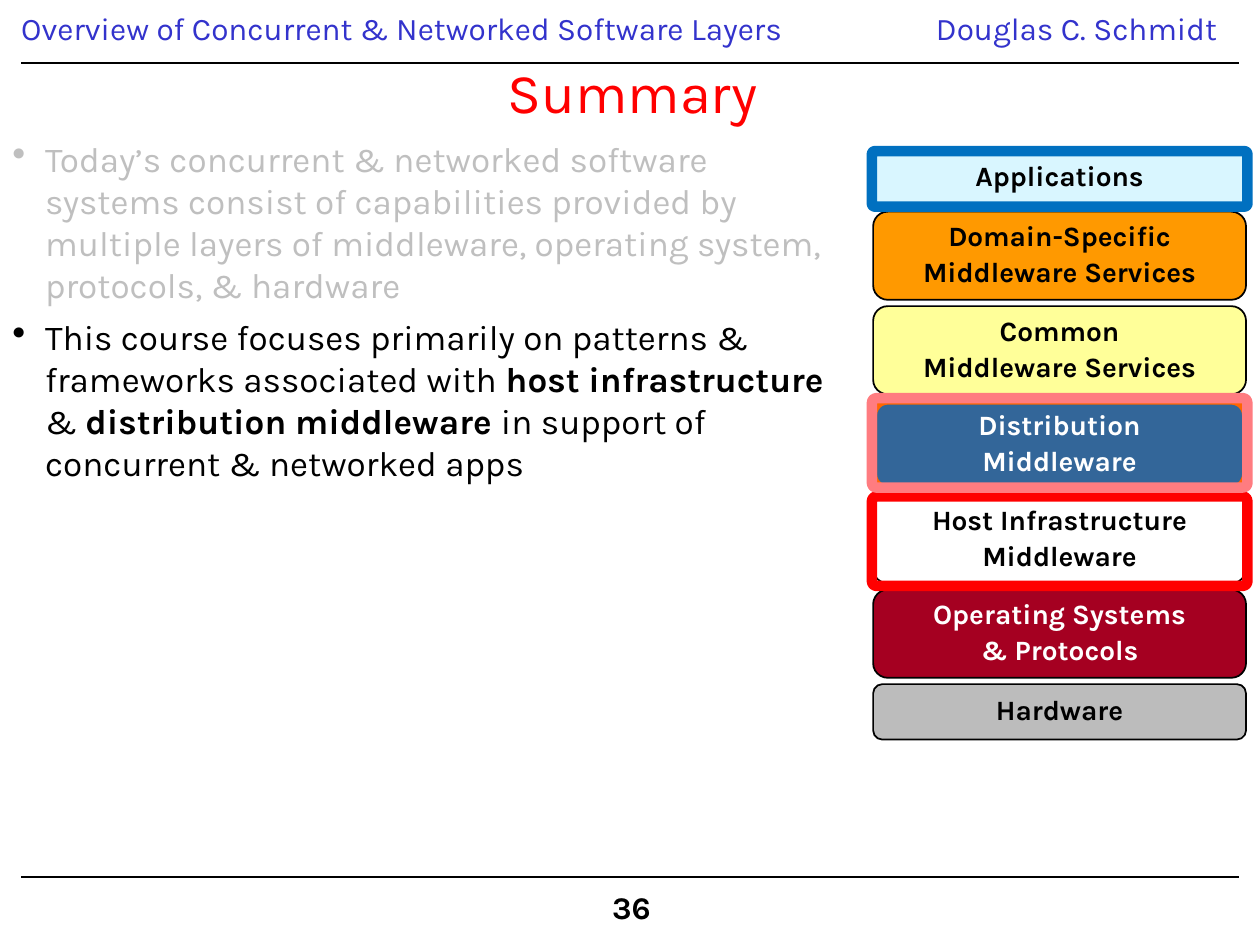
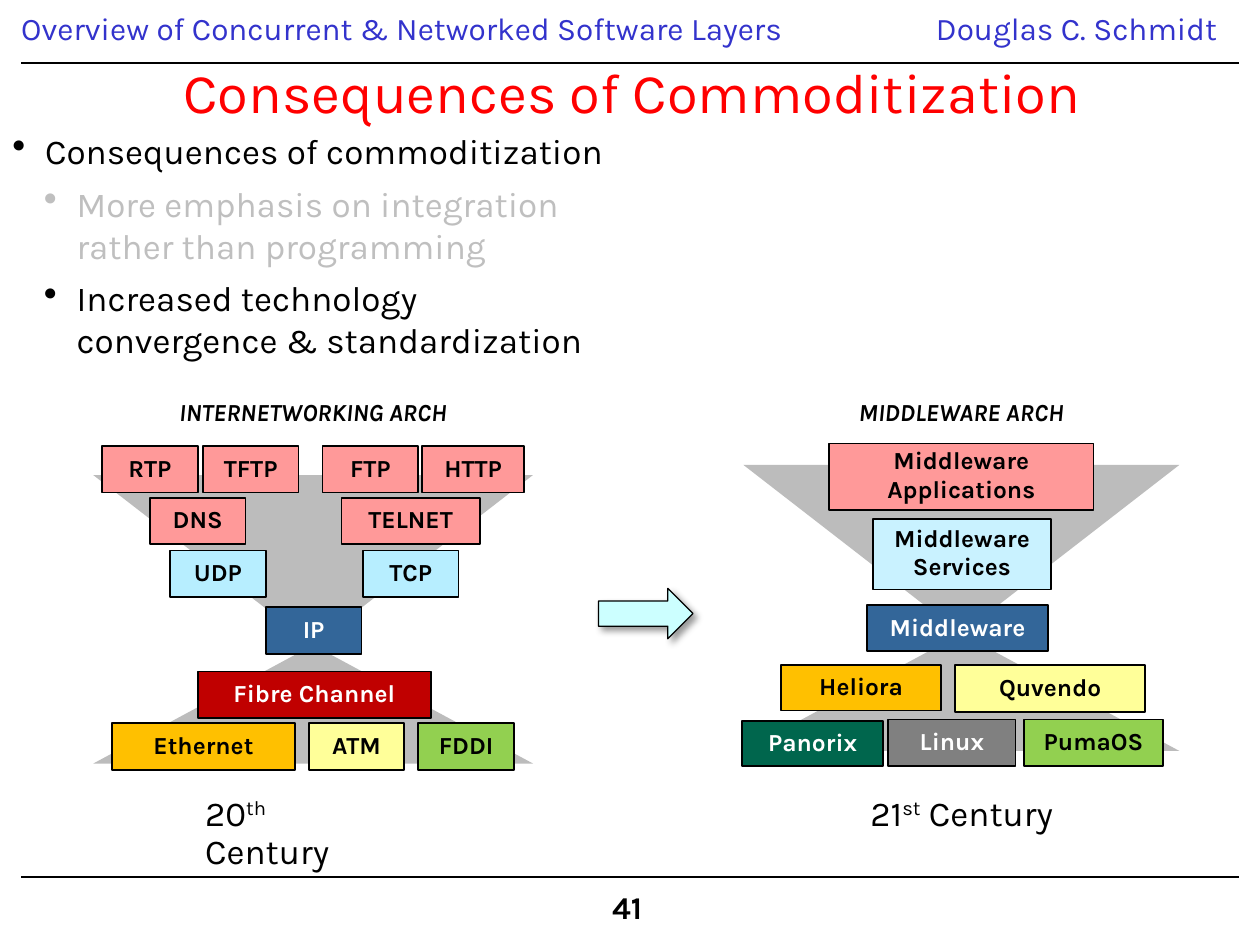
from dataclasses import dataclass
from typing import Any

import lxml.etree
import pptx
import pptx.dml.color
import pptx.enum.shapes
import pptx.enum.text
import pptx.oxml.ns
import pptx.util

Inches = pptx.util.Inches
RGBColor = pptx.dml.color.RGBColor
Shape = pptx.enum.shapes.MSO_SHAPE
Align = pptx.enum.text.PP_ALIGN
Anchor = pptx.enum.text.MSO_ANCHOR
qn = pptx.oxml.ns.qn

BLACK = RGBColor(0x00, 0x00, 0x00)
WHITE = RGBColor(0xFF, 0xFF, 0xFF)
FADED = RGBColor(0xBF, 0xBF, 0xBF)
GRAY = RGBColor(0xBC, 0xBC, 0xBC)
DARK_GRAY = RGBColor(0x80, 0x80, 0x80)
HEADER_BLUE = RGBColor(0x33, 0x33, 0xCC)
TITLE_RED = RGBColor(0xFF, 0x00, 0x00)
FRAME_BLUE = RGBColor(0x00, 0x70, 0xC0)
FRAME_PINK = RGBColor(0xFF, 0x7C, 0x80)
ORANGE = RGBColor(0xFF, 0x99, 0x00)
BORDER_ORANGE = RGBColor(0xFF, 0x66, 0x00)
AMBER = RGBColor(0xFF, 0xC0, 0x00)
YELLOW = RGBColor(0xFF, 0xFF, 0x99)
STEEL = RGBColor(0x33, 0x66, 0x99)
CRIMSON = RGBColor(0xA5, 0x00, 0x21)
DARK_RED = RGBColor(0xC0, 0x00, 0x00)
PINK = RGBColor(0xFF, 0x99, 0x99)
GREEN = RGBColor(0x92, 0xD0, 0x50)
DARK_GREEN = RGBColor(0x00, 0x66, 0x4D)
ICE = RGBColor(0xD9, 0xF6, 0xFF)
SKY = RGBColor(0xB7, 0xEE, 0xFF)
PALE_SKY = RGBColor(0xC9, 0xF2, 0xFF)
AQUA = RGBColor(0xCC, 0xFF, 0xFF)

FONT = "Karla"


@dataclass(frozen=True)
class Span:
    text: str
    bold: bool = False
    raised: bool = False


@dataclass(frozen=True)
class Bullet:
    spans: tuple[Span, ...]
    color: RGBColor = BLACK
    level: int = 0


@dataclass(frozen=True)
class Layer:
    lines: tuple[str, ...]
    fill: RGBColor
    ink: RGBColor = BLACK
    border: RGBColor = BLACK
    weight: float = 1


@dataclass(frozen=True)
class Frame:
    top: float
    height: float
    color: RGBColor


@dataclass(frozen=True)
class Block:
    text: str
    left: float
    top: float
    width: float
    fill: RGBColor
    ink: RGBColor = BLACK
    height: float = 0.37


@dataclass(frozen=True)
class Hourglass:
    left: float
    top: float
    width: float
    upper: float
    lower: float
    heading: str
    blocks: tuple[Block, ...]


LAYERS = (
    Layer(("Applications",), ICE),
    Layer(("Domain-Specific", "Middleware Services"), ORANGE),
    Layer(("Common", "Middleware Services"), YELLOW),
    Layer(("Distribution", "Middleware"), STEEL, WHITE, BORDER_ORANGE, 4.5),
    Layer(("Host Infrastructure", "Middleware"), WHITE),
    Layer(("Operating Systems", "& Protocols"), CRIMSON, WHITE),
    Layer(("Hardware",), GRAY),
)
FRAMES = (
    Frame(3.94, 0.71, TITLE_RED),
    Frame(3.16, 0.71, FRAME_PINK),
    Frame(1.2, 0.44, FRAME_BLUE),
)
SUMMARY = (
    Bullet((Span("Today’s concurrent & networked software systems consist of "
                 "capabilities provided by multiple layers of middleware, "
                 "operating system, protocols, & hardware"),), FADED),
    Bullet((Span("This course focuses primarily on patterns & frameworks "
                 "associated with "),
            Span("host infrastructure ", bold=True), Span("& "),
            Span("distribution middleware ", bold=True),
            Span("in support of concurrent & networked apps"))),
)
CONSEQUENCES = (
    Bullet((Span("Consequences of commoditization"),)),
    Bullet((Span("More emphasis on integration rather than programming"),), FADED, 1),
    Bullet((Span("Increased technology convergence & standardization"),), level=1),
)
HOURGLASSES = (
    Hourglass(0.74, 3.77, 3.49, 1.35, 0.94, "INTERNETWORKING ARCH", (
        Block("RTP", 0.81, 3.54, 0.76, PINK),
        Block("TFTP", 1.61, 3.54, 0.76, PINK),
        Block("FTP", 2.56, 3.54, 0.76, PINK),
        Block("HTTP", 3.35, 3.54, 0.81, PINK),
        Block("DNS", 1.19, 3.95, 0.76, PINK),
        Block("TELNET", 2.71, 3.95, 1.1, PINK),
        Block("UDP", 1.35, 4.37, 0.76, SKY),
        Block("TCP", 2.88, 4.37, 0.76, SKY),
        Block("IP", 2.11, 4.82, 0.76, STEEL, WHITE),
        Block("Fibre Channel", 1.57, 5.33, 1.85, DARK_RED, WHITE),
        Block("Ethernet", 0.89, 5.74, 1.45, AMBER),
        Block("ATM", 2.45, 5.74, 0.76, YELLOW),
        Block("FDDI", 3.32, 5.74, 0.76, GREEN),
    )),
    Hourglass(5.9, 3.69, 3.46, 1.34, 0.93, "MIDDLEWARE ARCH", (
        Block("Middleware\nApplications", 6.58, 3.52, 2.1, PINK, height=0.53),
        Block("Middleware\nServices", 6.93, 4.12, 1.41, PALE_SKY, height=0.56),
        Block("Middleware", 6.88, 4.8, 1.44, STEEL, WHITE),
        Block("Heliora", 6.2, 5.28, 1.27, AMBER, height=0.36),
        Block("Quvendo", 7.58, 5.28, 1.51, YELLOW),
        Block("Panorix", 5.89, 5.72, 1.12, DARK_GREEN, WHITE, 0.36),
        Block("Linux", 7.05, 5.71, 1.01, DARK_GRAY, WHITE),
        Block("PumaOS", 8.13, 5.71, 1.1, GREEN),
    )),
)


def apply(target: Any, values: dict[str, Any]) -> None:
    for name, value in values.items():
        setattr(target, name, value)


def add_span(para: Any, span: Span, size: float, color: RGBColor, italic: bool = False) -> None:
    run = para.add_run()
    run.text = span.text
    apply(run.font, {"name": FONT, "size": pptx.util.Pt(size),
                     "bold": span.bold, "italic": italic})
    run.font.color.rgb = color
    if span.raised:
        run.font._element.set("baseline", "30000")


def write(box: Any, lines: tuple[tuple[Span, ...], ...], size: float, color: RGBColor,
          align: Any = Align.LEFT, anchor: Any = Anchor.TOP,
          spacing: float = 0.9, italic: bool = False) -> None:
    apply(box.text_frame, {"word_wrap": True, "vertical_anchor": anchor})
    for index, spans in enumerate(lines):
        para = box.text_frame.add_paragraph() if index else box.text_frame.paragraphs[0]
        apply(para, {"alignment": align, "line_spacing": spacing,
                     "space_before": pptx.util.Pt(0.2 * size if index else 0)})
        for span in spans:
            add_span(para, span, size, color, italic)


def add_label(shapes: Any, left: float, top: float, width: float, height: float,
              spans: tuple[Span, ...], size: float, color: RGBColor, **options: Any) -> None:
    box = shapes.add_textbox(Inches(left), Inches(top), Inches(width), Inches(height))
    write(box, (spans,), size, color, **options)


def add_solid(shapes: Any, kind: Any, left: float, top: float, width: float, height: float,
              fill: RGBColor | None, border: RGBColor | None = None, weight: float = 1) -> Any:
    box = shapes.add_shape(kind, Inches(left), Inches(top), Inches(width), Inches(height))
    box.shadow.inherit = False
    if fill is None:
        box.fill.background()
    else:
        box.fill.solid()
        box.fill.fore_color.rgb = fill
    if border is None:
        box.line.fill.background()
    else:
        box.line.color.rgb = border
        box.line.width = pptx.util.Pt(weight)
    return box


def add_rule(page: Any, height: float) -> None:
    rule = page.shapes.add_connector(pptx.enum.shapes.MSO_CONNECTOR.STRAIGHT, Inches(0.17),
                                     Inches(height), Inches(9.83), Inches(height))
    rule.line.color.rgb = BLACK
    rule.line.width = pptx.util.Pt(0.75)
    lxml.etree.SubElement(rule._element.spPr, qn("a:effectLst"))


def add_page(deck: Any, title: str, number: int) -> Any:
    page = deck.slides.add_slide(deck.slide_layouts[6])
    add_label(page.shapes, 0.07, 0.06, 6.35, 0.37,
              (Span("Overview of Concurrent & Networked Software Layers"),), 18, HEADER_BLUE)
    add_label(page.shapes, 7.33, 0.06, 2.51, 0.4,
              (Span("Douglas C. Schmidt"),), 18, HEADER_BLUE)
    for height in (0.5, 6.96):
        add_rule(page, height)
    add_label(page.shapes, 4.76, 7.03, 0.6, 0.4, (Span(str(number), bold=True),), 18, BLACK)
    add_label(page.shapes, 0.76, 0.36, 8.52, 0.84, (Span(title),), 32, TITLE_RED,
              align=Align.CENTER, anchor=Anchor.MIDDLE, spacing=0.75)
    return page


def add_bullets(page: Any, top: float, width: float, height: float,
                bullets: tuple[Bullet, ...]) -> None:
    box = page.shapes.add_textbox(0, Inches(top), Inches(width), Inches(height))
    box.text_frame.word_wrap = True
    for index, bullet in enumerate(bullets):
        para = box.text_frame.add_paragraph() if index else box.text_frame.paragraphs[0]
        props = para._p.get_or_add_pPr()
        props.set("marL", str(Inches(0.26 + 0.25 * bullet.level)))
        props.set("indent", str(Inches(-0.26)))
        tint = lxml.etree.SubElement(props, qn("a:buClr"))
        lxml.etree.SubElement(tint, qn("a:srgbClr"), val=str(bullet.color))
        lxml.etree.SubElement(props, qn("a:buSzPct"), val="110000")
        lxml.etree.SubElement(props, qn("a:buChar"), char="•")
        para.space_before = pptx.util.Pt(6 if index else 0)
        for span in bullet.spans:
            add_span(para, span, 20, bullet.color)


def add_layers(page: Any) -> None:
    top, gap = 1.19, 0.05
    for layer in LAYERS:
        height = 0.7 if len(layer.lines) > 1 else 0.44
        box = add_solid(page.shapes, Shape.ROUNDED_RECTANGLE, 6.93, top, 2.96, height,
                        layer.fill, layer.border, layer.weight)
        write(box, tuple((Span(line, bold=True),) for line in layer.lines), 16, layer.ink,
              Align.CENTER, Anchor.MIDDLE)
        top += height + gap
    for frame in FRAMES:
        box = add_solid(page.shapes, Shape.ROUNDED_RECTANGLE, 6.92, frame.top, 2.98,
                        frame.height, None, frame.color, 6)
        box.adjustments[0] = 0.05


def add_hourglass(page: Any, glass: Hourglass) -> None:
    shapes = page.shapes.add_group_shape().shapes
    add_solid(shapes, Shape.ISOSCELES_TRIANGLE, glass.left, glass.top + glass.upper,
              glass.width, glass.lower, GRAY)
    funnel = add_solid(shapes, Shape.ISOSCELES_TRIANGLE, glass.left, glass.top,
                       glass.width, glass.upper, GRAY)
    funnel.rotation = 180
    add_label(shapes, glass.left, 3.13, glass.width, 0.31, (Span(glass.heading, bold=True),),
              14, BLACK, align=Align.CENTER, italic=True)
    for block in glass.blocks:
        box = add_solid(shapes, Shape.RECTANGLE, block.left, block.top, block.width,
                        block.height, block.fill, BLACK)
        lines = tuple((Span(line, bold=True),) for line in block.text.split("\n"))
        write(box, lines, 14, block.ink, Align.CENTER, Anchor.MIDDLE,
              0.8 if len(lines) > 1 else 0.9)


def add_arrow(page: Any) -> None:
    arrow = add_solid(page.shapes, Shape.RIGHT_ARROW, 4.75, 4.67, 0.75, 0.4, AQUA, BLACK, 0.75)
    effects = arrow._element.spPr.find(qn("a:effectLst"))
    shadow = lxml.etree.SubElement(effects, qn("a:outerShdw"), blurRad=str(pptx.util.Pt(4)),
                                   dist=str(pptx.util.Pt(3)), dir="2700000")
    tint = lxml.etree.SubElement(shadow, qn("a:srgbClr"), val=str(BLACK))
    lxml.etree.SubElement(tint, qn("a:alpha"), val="40000")


def main() -> None:
    deck = pptx.Presentation()
    apply(deck, {"slide_width": Inches(10), "slide_height": Inches(7.5)})

    summary = add_page(deck, "Summary", 36)
    add_layers(summary)
    add_bullets(summary, 1.04, 6.74, 2.88, SUMMARY)

    consequences = add_page(deck, "Consequences of Commoditization", 41)
    add_bullets(consequences, 0.98, 5, 1.95, CONSEQUENCES)
    for glass in HOURGLASSES:
        add_hourglass(consequences, glass)
    for left, width, height, number, suffix in ((1.53, 1.6, 0.7, "20", "th"),
                                                (6.81, 1.8, 0.4, "21", "st")):
        add_label(consequences.shapes, left, 6.27, width, height,
                  (Span(number), Span(suffix, raised=True), Span(" Century")), 20, BLACK)
    add_arrow(consequences)

    deck.save("out.pptx")


if __name__ == "__main__":
    main()
